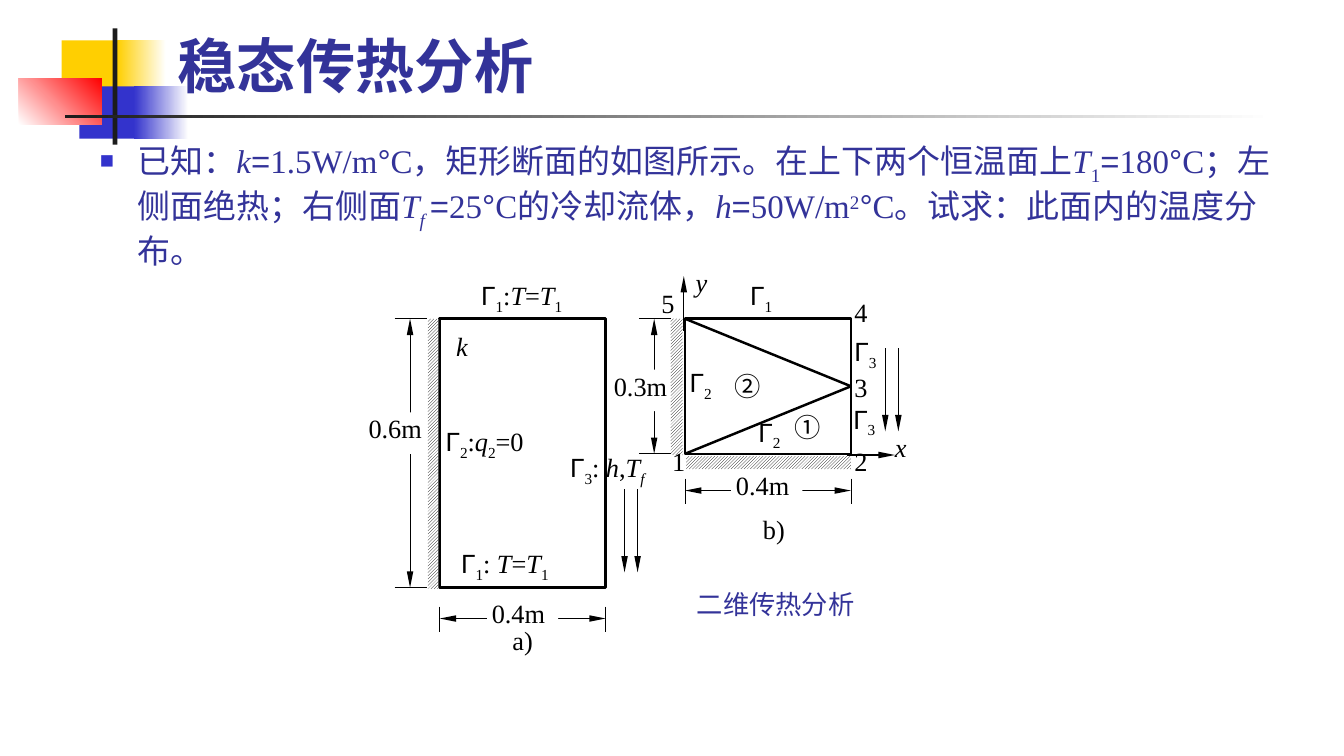
from lxml import etree
from pptx import Presentation
from pptx.dml.color import RGBColor
from pptx.enum import dml, shapes, text
from pptx.oxml import ns
from pptx.util import Inches, Pt

BLACK = RGBColor(0, 0, 0)
WHITE = RGBColor(255, 255, 255)
INK = RGBColor(0x1C, 0x1C, 0x1C)
GOLD = RGBColor(0xFF, 0xCF, 0x01)
BLUE = RGBColor(0x33, 0x33, 0xCC)
RED = RGBColor(255, 0, 0)
NAVY = RGBColor(0x33, 0x33, 0x99)
ROMAN, SANS, HAN = "Times New Roman", "Arial", "Noto Sans CJK SC"

# Decoration: box, first colour, last colour (None = solid), angle
DECOR = [
    ((0.52, 0.34, 0.54, 0.44), GOLD, None, 0),
    ((0.99, 0.34, 0.41, 0.44), GOLD, WHITE, 0),
    ((0.67, 0.73, 0.52, 0.44), BLUE, None, 0),
    ((1.13, 0.73, 0.46, 0.44), BLUE, WHITE, 0),
    ((0.16, 0.66, 0.7, 0.39), WHITE, RED, 45),
    ((0.95, 0.24, 0.04, 0.98), INK, None, 0),
    ((0.55, 0.97, 10.2, 0.03), INK, WHITE, 0),
]

# Runs are (text, marks): i italic, s sans, c circled, b bold, _ sub, ^ super
TITLE = [("稳态传热分析", "b")]
BODY = [
    ("已知：", ""), ("k", "i"), ("=", "s"), ("1.5W/m", ""), ("°", "s"),
    ("C，矩形断面的如图所示。在上下两个恒温面上", ""), ("T", "i"), ("1", "_"),
    ("=", "s"), ("180", ""), ("°", "s"), ("C；左侧面绝热；右侧面", ""),
    ("T", "i"), ("f ", "i_"), ("=", "s"), ("25", ""), ("°", "s"),
    ("C的冷却流体，", ""), ("h", "i"), ("=", "s"), ("50W/m", ""), ("2", "^"),
    ("°", "s"), ("C。试求：此面内的温度分布。", ""),
]


def gamma(num):
    return [("Γ", "s"), (num, "_")]


FIXED = [("T", "i"), ("=", ""), ("T", "i"), ("1", "_")]
FLOW = [(": ", ""), ("h", "i"), (",", ""), ("T", "i"), ("f", "i_")]

LABELS = [
    ((3.85, 2.79, 0.1), [("k", "i")]),
    ((4.06, 2.36, 0.75), gamma("1") + [(":", "")] + FIXED),
    ((3.89, 4.62, 0.98), gamma("1") + [(": ", "")] + FIXED),
    ((3.76, 3.59, 0.83),
     gamma("2") + [(":", ""), ("q", "i"), ("2", "_"), ("=0", "")]),
    ((4.81, 3.81, 0.69), gamma("3") + FLOW),
    ((6.33, 2.36, 0.29), gamma("1")),
    ((5.82, 3.09, 0.3), gamma("2")),
    ((6.4, 3.51, 0.3), gamma("2")),
    ((7.2, 3.4, 0.3), gamma("3")),
    ((7.21, 2.83, 0.3), gamma("3")),
    ((7.55, 3.64, 0.1), [("x", "i")]),
    ((5.87, 2.25, 0.1), [("y", "i")]),
    ((5.67, 3.76, 0.12), [("1", "")]),
    ((7.21, 3.76, 0.12), [("2", "")]),
    ((7.21, 3.13, 0.12), [("3", "")]),
    ((7.21, 2.5, 0.12), [("4", "")]),
    ((5.58, 2.42, 0.12), [("5", "")]),
    ((6.7, 3.47, 0.23), [("①", "c")]),
    ((6.2, 3.12, 0.23), [("②", "c")]),
]
CAPTIONS = [
    ((5.29, 4.96, 2.51), "二维传热分析", NAVY),
    ((4.09, 5.27, 0.64), "a)", BLACK),
    ((6.21, 4.33, 0.64), "b)", BLACK),
]

PLATE = (3.71, 2.69, 1.4, 2.27)
HALF = (5.78, 2.69, 1.4, 1.14)
HATCH = [(3.61, 2.69, 0.09, 2.28), (5.66, 2.69, 0.1, 1.15),
         (5.79, 3.85, 1.39, 0.11)]
# Start x, y of each pair of flow arrows
FLOWS = [(5.27, 4.13), (7.47, 2.94)]
AXES = [((5.77, 2.79), (5.77, 2.33)), ((7.15, 3.84), (7.55, 3.84))]
# Dimensions: plate, start of ticks, label, label box, inset
ACROSS = [(PLATE, 5.12, "0.4m", (4.11, 5.04, 0.6)),
          (HALF, 4.04, "0.4m", (6.17, 3.96, 0.6))]
DOWN = [(PLATE, 3.33, "0.6m", (3.11, 3.48, 0.47)),
        (HALF, 5.39, "0.3m", (5.18, 3.12, 0.47))]

prs = Presentation()
prs.slide_width, prs.slide_height = Inches(11.34), Inches(6.38)
slide = prs.slides.add_slide(prs.slide_layouts[6])
tree = slide.shapes


def inch(nums):
    return [Inches(n) for n in nums]


def rect(box):
    shape = tree.add_shape(shapes.MSO_SHAPE.RECTANGLE, *inch(box))
    shape.shadow.inherit = False
    shape.line.fill.background()
    return shape


def solid(shape, color):
    shape.fill.solid()
    shape.fill.fore_color.rgb = color


def line(start, end, width=0.5, ends=()):
    """Draw a black line; ends holds "headEnd" and/or "tailEnd"."""
    link = tree.add_connector(shapes.MSO_CONNECTOR.STRAIGHT,
                              *inch(start + end))
    link.line.color.rgb = BLACK
    link.line.width = Pt(width)
    etree.SubElement(link._element.spPr, ns.qn("a:effectLst"))
    for tag in ends:
        etree.SubElement(link.line._ln, ns.qn("a:" + tag),
                         type="triangle", w="sm", len="lg")
    return link


def write(shape, runs, size=16, color=BLACK, inset=(0, 0),
          align=text.PP_ALIGN.LEFT):
    frame = shape.text_frame
    frame.word_wrap = True
    frame.vertical_anchor = text.MSO_ANCHOR.TOP
    frame.margin_left = frame.margin_right = Inches(inset[0])
    frame.margin_top = frame.margin_bottom = Inches(inset[1])
    para = frame.paragraphs[0]
    para.alignment = align
    for words, marks in runs:
        run = para.add_run()
        run.text = words
        font = run.font
        font.size = Pt(size)
        font.color.rgb = color
        font.bold = "b" in marks
        font.italic = "i" in marks
        font.name = SANS if "s" in marks else HAN if "c" in marks else ROMAN
        props = font._element
        etree.SubElement(props, ns.qn("a:ea"), typeface=HAN)
        if "_" in marks:
            props.set("baseline", "-25000")
        elif "^" in marks:
            props.set("baseline", "30000")
    return frame


def label(spot, runs, **look):
    return write(tree.add_textbox(*inch(spot + (0.35,))), runs, **look)


def tag(spot, words):
    """White box with a length, laid over its dimension line."""
    shape = rect(spot + (0.35,))
    solid(shape, WHITE)
    write(shape, [(words, "")], inset=(0.04 if spot[2] > 0.5 else 0, 0))


for box, first, last, angle in DECOR:
    shape = rect(box)
    if last is None:
        solid(shape, first)
        continue
    shape.fill.gradient()
    shape.fill.gradient_angle = angle
    for stop, color in zip(shape.fill.gradient_stops, (first, last)):
        stop.color.rgb = color

head = tree.add_textbox(*inch((1.41, 0.2, 9.67, 0.69)))
frame = write(head, TITLE, 36, NAVY, (0.09, 0.04))
frame.vertical_anchor = text.MSO_ANCHOR.BOTTOM
frame.auto_size = text.MSO_AUTO_SIZE.SHAPE_TO_FIT_TEXT

body = tree.add_textbox(*inch((0.75, 1.15, 10.2, 4.71)))
frame = write(body, BODY, 20, NAVY, (0.09, 0.04))
props = frame.paragraphs[0]._p.get_or_add_pPr()
props.set("marL", str(Inches(0.32)))
props.set("indent", str(-Inches(0.32)))
tint = etree.SubElement(props, ns.qn("a:buClr"))
etree.SubElement(tint, ns.qn("a:srgbClr"), val=str(BLUE))
etree.SubElement(props, ns.qn("a:buSzPct"), val="60000")
etree.SubElement(props, ns.qn("a:buChar"), char="■")

plates = []
for box in (PLATE, HALF):
    shape = rect(box)
    solid(shape, WHITE)
    shape.line.color.rgb = BLACK
    shape.line.width = Pt(1.5)
    plates.append(shape)

for box in HATCH:
    fill = rect(box).fill
    fill.patterned()
    fill.pattern = dml.MSO_PATTERN.LIGHT_UPWARD_DIAGONAL
    fill.fore_color.rgb = BLACK
    fill.back_color.rgb = WHITE

left, top, wide, high = HALF
for y in (top, top + high):
    line((left, y), (left + wide, top + high / 2), 1.5).end_connect(plates[1], 3)

for x, y in FLOWS:
    for step in (0, 0.11):
        line((x + step, y), (x + step, y + 0.7), 0.75, ["tailEnd"])
for start, end in AXES:
    line(start, end, 0.75, ["tailEnd"])

BOTH = ["headEnd", "tailEnd"]
for (left, top, wide, high), y, words, spot in ACROSS:
    for x in (left, left + wide):
        line((x, y), (x, y + 0.21))
    line((left, y + 0.1), (left + wide, y + 0.1), ends=BOTH)
    tag(spot, words)
for (left, top, wide, high), x, words, spot in DOWN:
    for y in (top, top + high):
        line((x, y), (x + 0.27, y))
    line((x + 0.13, top), (x + 0.13, top + high), ends=BOTH)
    tag(spot, words)

for spot, runs in LABELS:
    label(spot, runs)
for spot, words, color in CAPTIONS:
    label(spot, [(words, "")], color=color, align=text.PP_ALIGN.CENTER)

prs.save("out.pptx")
